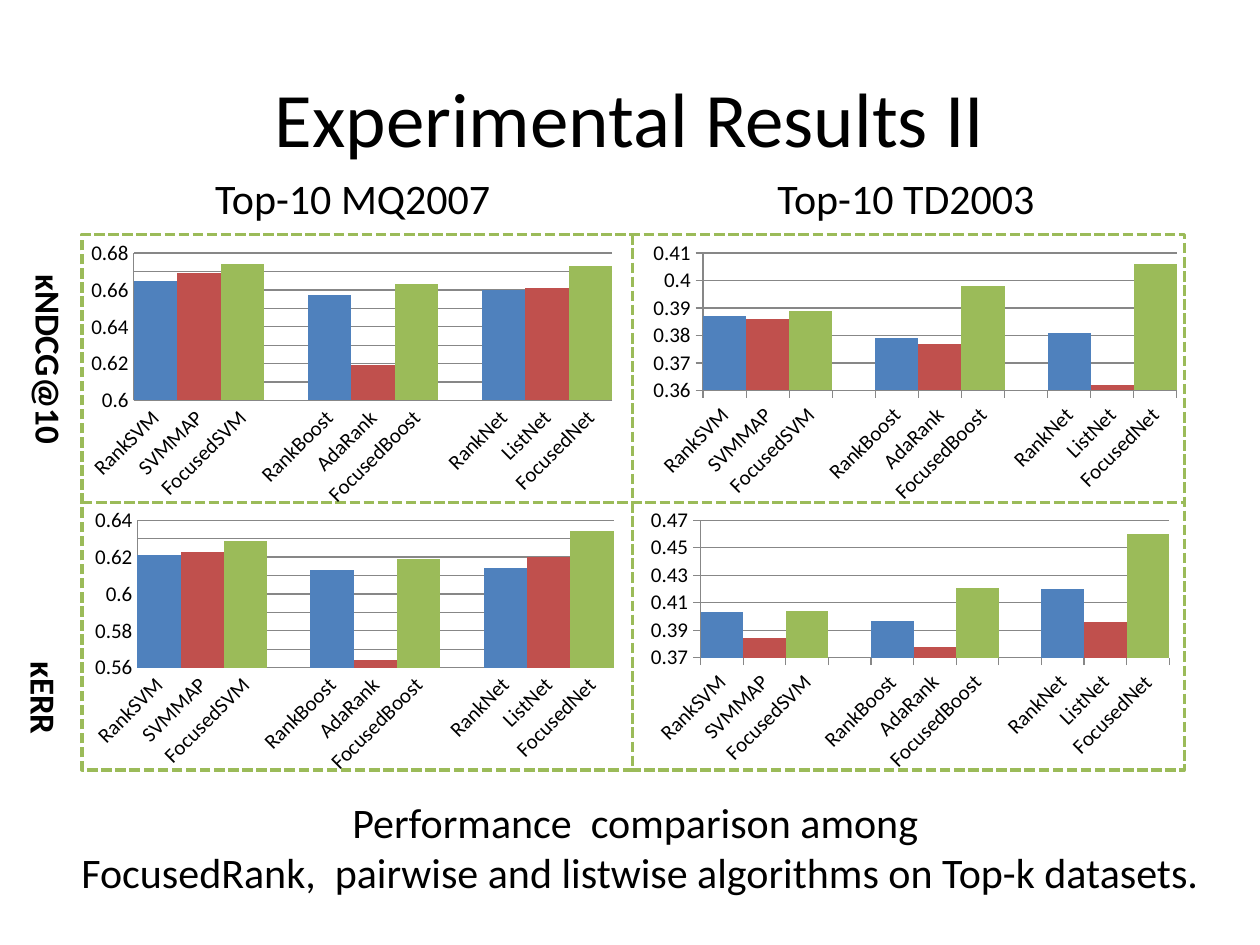
from dataclasses import dataclass

from lxml import etree
from pptx import Presentation
from pptx.chart.data import CategoryChartData
from pptx.dml.color import RGBColor
from pptx.enum.chart import XL_CHART_TYPE, XL_TICK_MARK
from pptx.enum.dml import MSO_LINE
from pptx.enum.shapes import MSO_CONNECTOR, MSO_SHAPE
from pptx.enum.text import MSO_ANCHOR, MSO_AUTO_SIZE, PP_ALIGN
from pptx.oxml import parse_xml
from pptx.oxml.ns import qn
from pptx.util import Inches, Pt

COLUMNS = XL_CHART_TYPE.COLUMN_CLUSTERED
NO_TICK, TICK_OUT = XL_TICK_MARK.NONE, XL_TICK_MARK.OUTSIDE
SYS_DASH = MSO_LINE.SQUARE_DOT
CENTER = PP_ALIGN.CENTER
FONT = "Calibri"
COLORS = {
    "text": "000000",
    "pairwise": "4F81BD",
    "listwise": "C0504D",
    "focused": "9BBB59",
    "axis": "878787",
}
METHODS = ["pairwise", "listwise", "focused"]
ALGORITHMS = [
    "RankSVM", "SVMMAP", "FocusedSVM", "",
    "RankBoost", "AdaRank", "FocusedBoost", "",
    "RankNet", "ListNet", "FocusedNet",
]
CHART_NS = "http://schemas.openxmlformats.org/drawingml/2006/chart"


@dataclass
class Box:
    left: float
    top: float
    width: float
    height: float

    def lengths(self) -> list:
        return [Inches(v) for v in (self.left, self.top, self.width, self.height)]


@dataclass
class Result:
    frame: Box
    plot: Box
    low: float
    high: float
    step: float
    tick: XL_TICK_MARK
    scores: list


RESULTS = [
    Result(Box(0.62, 1.86, 4.33, 2.21), Box(1.06, 2.01, 3.8, 1.17), 0.6, 0.68, 0.01, NO_TICK,
           [0.665, 0.669, 0.674, None, 0.657, 0.619, 0.663, None, 0.66, 0.661, 0.673]),
    Result(Box(0.64, 3.99, 4.31, 2.21), Box(1.09, 4.13, 3.78, 1.17), 0.56, 0.64, 0.01, NO_TICK,
           [0.621, 0.623, 0.629, None, 0.613, 0.564, 0.619, None, 0.614, 0.62, 0.634]),
    Result(Box(5.1, 1.86, 4.33, 2.19), Box(5.58, 2.01, 3.76, 1.09), 0.36, 0.41, 0.01, TICK_OUT,
           [0.387, 0.386, 0.389, None, 0.379, 0.377, 0.398, None, 0.381, 0.362, 0.406]),
    Result(Box(5.09, 3.99, 4.29, 2.19), Box(5.56, 4.13, 3.72, 1.09), 0.37, 0.47, 0.02, TICK_OUT,
           [0.403, 0.384, 0.404, None, 0.397, 0.378, 0.421, None, 0.42, 0.396, 0.46]),
]


def color(name: str) -> RGBColor:
    return RGBColor.from_string(COLORS[name])


def style_font(font, size: float, bold: bool = False) -> None:
    font.name, font.size, font.bold = FONT, Pt(size), bold
    font.color.rgb = color("text")


def write(shape, text: str, size: float, bold: bool = False) -> None:
    shape.text_frame.text = text
    for paragraph in shape.text_frame.paragraphs:
        paragraph.alignment = CENTER
        for run in paragraph.runs:
            style_font(run.font, size, bold)


def place(shape, box: Box) -> None:
    shape.left, shape.top, shape.width, shape.height = box.lengths()


def fill_placeholder(shape, box: Box, text: str, size: float, anchor: MSO_ANCHOR) -> None:
    place(shape, box)
    write(shape, text, size)
    shape.text_frame.auto_size = MSO_AUTO_SIZE.NONE
    shape.text_frame.vertical_anchor = anchor


def style_dash(line) -> None:
    line.color.rgb = color("focused")
    line.width = Pt(2)
    line.dash_style = SYS_DASH


def add_divider(slide, x1: float, y1: float, x2: float, y2: float) -> None:
    divider = slide.shapes.add_connector(
        MSO_CONNECTOR.STRAIGHT, Inches(x1), Inches(y1), Inches(x2), Inches(y2))
    style_dash(divider.line)
    etree.SubElement(divider.element.spPr, qn("a:effectLst"))


def add_metric(slide, box: Box, text: str) -> None:
    metric = slide.shapes.add_textbox(*box.lengths())
    write(metric, text, 20, True)
    frame = metric.text_frame
    frame.word_wrap = False
    frame.auto_size = MSO_AUTO_SIZE.SHAPE_TO_FIT_TEXT
    frame.paragraphs[0].space_before = Pt(4)
    metric.element.txBody.find(qn("a:bodyPr")).set("vert", "eaVert")


def set_plot_layout(chart, frame: Box, plot: Box) -> None:
    shares = {
        "x": (plot.left - frame.left) / frame.width,
        "y": (plot.top - frame.top) / frame.height,
        "w": plot.width / frame.width,
        "h": plot.height / frame.height,
    }
    modes = "".join(f'<c:{key}Mode val="edge"/>' for key in "xy")
    values = "".join(f'<c:{key} val="{share:.4f}"/>' for key, share in shares.items())
    layout = parse_xml(
        f'<c:layout xmlns:c="{CHART_NS}"><c:manualLayout><c:layoutTarget val="inner"/>'
        f"{modes}{values}</c:manualLayout></c:layout>")
    area = chart.element.find(".//" + qn("c:plotArea"))
    for previous in area.findall(qn("c:layout")):
        area.remove(previous)
    area.insert(0, layout)


def add_result(slide, result: Result) -> None:
    data = CategoryChartData()
    data.categories = ALGORITHMS
    data.add_series("Series 1", result.scores)
    chart = slide.shapes.add_chart(COLUMNS, *result.frame.lengths(), data).chart
    chart.has_legend = False
    chart.has_title = False
    style_font(chart.font, 10)
    bars = chart.plots[0]
    bars.gap_width = 0
    bars.vary_by_categories = False
    series = bars.series[0]
    series.format.fill.solid()
    series.format.fill.fore_color.rgb = color(METHODS[0])
    for index, score in enumerate(result.scores):
        if score is not None and index % 4:
            fill = series.points[index].format.fill
            fill.solid()
            fill.fore_color.rgb = color(METHODS[index % 4])
    scale = chart.value_axis
    scale.minimum_scale, scale.maximum_scale = result.low, result.high
    scale.major_unit = result.step
    scale.has_major_gridlines = True
    scale.tick_labels.number_format = "General"
    scale.tick_labels.number_format_is_linked = False
    for axis in (chart.category_axis, scale):
        axis.major_tick_mark = result.tick
        axis.minor_tick_mark = NO_TICK
        style_font(axis.tick_labels.font, 12)
    for line in (chart.category_axis.format.line, scale.format.line,
                 scale.major_gridlines.format.line):
        line.color.rgb = color("axis")
        line.width = Pt(0.75)
    names = chart.element.find(".//" + qn("c:catAx")).find(qn("c:txPr"))
    names.find(qn("a:bodyPr")).set("rot", "-2700000")
    set_plot_layout(chart, result.frame, result.plot)


presentation = Presentation()
presentation.slide_width, presentation.slide_height = Inches(10), Inches(7.5)
slide = presentation.slides.add_slide(presentation.slide_layouts[4])
title, left_heading, left_content, right_heading, right_content = slide.placeholders
for unused in (left_content, right_content):
    unused.element.getparent().remove(unused.element)

fill_placeholder(title, Box(0.5, 0.3, 9, 1.25), "Experimental Results II", 44, MSO_ANCHOR.MIDDLE)
fill_placeholder(left_heading, Box(0.59, 1.32, 4.42, 0.7), "Top-10 MQ2007", 24, MSO_ANCHOR.TOP)
fill_placeholder(right_heading, Box(4.98, 1.32, 4.42, 0.7), "Top-10 TD2003", 24, MSO_ANCHOR.TOP)

grid = slide.shapes.add_shape(MSO_SHAPE.RECTANGLE, *Box(0.65, 1.86, 8.75, 4.25).lengths())
grid.shadow.inherit = False
grid.fill.background()
style_dash(grid.line)
add_divider(slide, 0.65, 3.99, 9.4, 3.99)
add_divider(slide, 5.02, 1.86, 5.02, 6.11)

add_metric(slide, Box(0.07, 2.08, 0.54, 1.46), "κNDCG@10")
add_metric(slide, Box(0.03, 5.15, 0.54, 0.69), "κERR")
for result in RESULTS:
    add_result(slide, result)

caption = slide.shapes.add_textbox(*Box(-0.59, 6.27, 11.34, 0.91).lengths())
write(caption, "Performance  comparison among \n"
      "FocusedRank,  pairwise and listwise algorithms on Top-k datasets.", 24)
caption.text_frame.word_wrap = True
caption.text_frame.auto_size = MSO_AUTO_SIZE.SHAPE_TO_FIT_TEXT

presentation.save("out.pptx")
